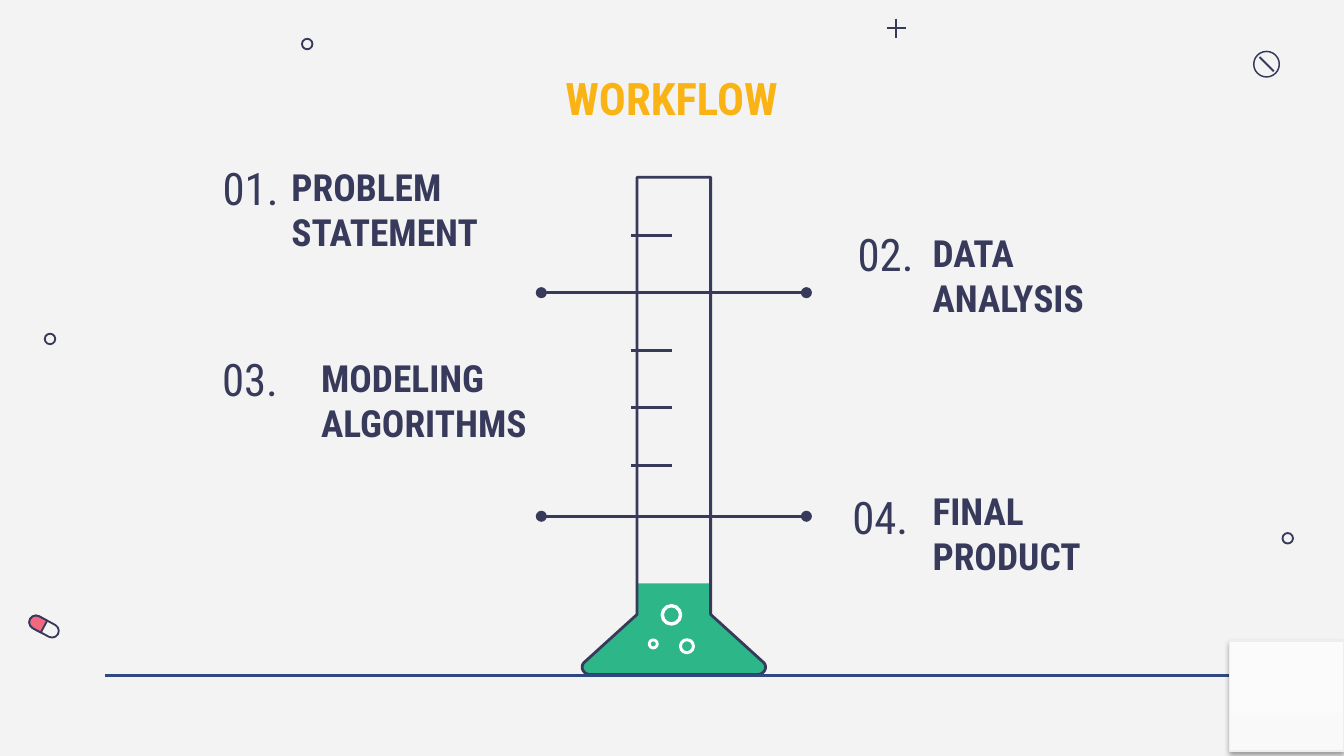
from copy import deepcopy
from lxml.etree import SubElement
from pptx import Presentation
from pptx.dml.color import RGBColor
from pptx.enum.shapes import MSO_CONNECTOR, MSO_SHAPE
from pptx.enum.text import MSO_ANCHOR, MSO_AUTO_SIZE, PP_ALIGN
from pptx.oxml.ns import qn
from pptx.util import Pt

NAVY = RGBColor(0x37, 0x3A, 0x5A)
BLUE = RGBColor(0x2F, 0x49, 0x7E)
GREEN = RGBColor(0x2D, 0xB7, 0x89)
YELLOW = RGBColor(0xF9, 0xB3, 0x14)
PINK = RGBColor(0xF1, 0x68, 0x80)
WHITE = RGBColor(0xFF, 0xFF, 0xFF)
PALE = RGBColor(0xF3, 0xF3, 0xF3)
EDGE = RGBColor(0xEE, 0xEE, 0xEE)
GRADIENT = [(0, RGBColor(0xF9, 0xF9, 0xF9)), (0.35, RGBColor(0xFB, 0xFB, 0xFB)),
            (1, RGBColor(0xFD, 0xFD, 0xFD))]
FONT = "Roboto Condensed"

presentation = Presentation()
presentation.slide_width, presentation.slide_height = Pt(720), Pt(405)
slide = presentation.slides.add_slide(presentation.slide_layouts[0])
slide.background.fill.solid()
slide.background.fill.fore_color.rgb = PALE
title, subtitle = slide.placeholders
subtitle.element.getparent().remove(subtitle.element)
shapes = slide.shapes


def paint(shape, fill=None, line=None, weight=1.5):
    shape.shadow.inherit = False
    if fill is None:
        shape.fill.background()
    else:
        shape.fill.solid()
        shape.fill.fore_color.rgb = fill
    if line is None:
        shape.line.fill.background()
    else:
        shape.line.color.rgb = line
        shape.line.width = Pt(weight)


def write(shape, text, size, color, bold, align, anchor):
    frame = shape.text_frame
    frame.word_wrap, frame.auto_size = True, MSO_AUTO_SIZE.NONE
    frame.vertical_anchor = anchor
    frame.margin_left = frame.margin_right = Pt(7.2)
    frame.margin_top = frame.margin_bottom = Pt(7.2)
    paragraph = frame.paragraphs[0]
    paragraph.alignment = align
    run = paragraph.add_run()
    run.text = text
    run.font.name, run.font.size, run.font.bold = FONT, Pt(size), bold
    run.font.color.rgb = color


# Title
title.left, title.top, title.width, title.height = Pt(108), Pt(29.5), Pt(503.5), Pt(45.4)
write(title, "WORKFLOW", 24, YELLOW, True, PP_ALIGN.CENTER, MSO_ANCHOR.MIDDLE)

# Pill: whole capsule, then its coloured half
for kind, x, y, width, height, angle, fill in [
        (MSO_SHAPE.ROUNDED_RECTANGLE, 23.6, 335.7, 17, 7.2, 28.4, None),
        (MSO_SHAPE.ROUND_2_SAME_RECTANGLE, 19.86, 333.68, 7.2, 8.5, -61.6, PINK)]:
    pill = shapes.add_shape(kind, Pt(x - width / 2), Pt(y - height / 2), Pt(width), Pt(height))
    pill.adjustments[0] = 0.5
    pill.rotation = angle
    paint(pill, fill, NAVY, 1)

# Flask: liquid first, then the glass; the right side mirrors the left
AXIS = 361
corner = [(313.2, 354.7), (310.3, 357.1), (312.5, 361.4), (316.1, 361.4)]
foot = []
for step in range(13):
    t = step / 12
    weights = [(1 - t) ** 3, 3 * t * (1 - t) ** 2, 3 * t * t * (1 - t), t ** 3]
    foot.append(tuple(sum(w * point[i] for w, point in zip(weights, corner)) for i in (0, 1)))
for top, fill, line in [(312.5, GREEN, None), (95, None, NAVY)]:
    left = [(341.3, top), (341.3, 329.2)] + foot
    outline = left + [(2 * AXIS - x, y) for x, y in reversed(left)]
    builder = shapes.build_freeform(Pt(outline[0][0]), Pt(outline[0][1]))
    builder.add_line_segments([(Pt(x), Pt(y)) for x, y in outline[1:]], close=True)
    paint(builder.convert_to_shape(), fill, line)

# Rings: background circles and bubbles (centre, diameter, colour, weight)
for x, y, size, color, weight in [
        (689.9, 288.4, 5.6, NAVY, 1), (164.6, 23.6, 5.6, NAVY, 1), (26.8, 181.6, 5.6, NAVY, 1),
        (678.5, 34.4, 13.7, NAVY, 0.8),
        (350, 345, 4.3, WHITE, 1.5), (359.7, 329.4, 9.8, WHITE, 1.8), (368, 346.2, 7, WHITE, 1.6)]:
    ring = shapes.add_shape(MSO_SHAPE.OVAL, Pt(x - size / 2), Pt(y - size / 2), Pt(size), Pt(size))
    paint(ring, None, color, weight)

# Lines: ground, small signs, graduations, pointers
lines = [(56.2, 362, 663.8, 362, BLUE, 1.5, False),
         (674.8, 30.6, 682.4, 38.2, NAVY, 1, False),
         (480.1, 10, 480.1, 20.3, NAVY, 1, False),
         (475, 15.1, 485.3, 15.1, NAVY, 1, False)]
lines += [(338, y, 360, y, NAVY, 1.5, False) for y in (126, 187.9, 218.5, 249.3)]
lines += [(290, y, 432, y, NAVY, 1.5, True) for y in (156.8, 276.6)]
for x1, y1, x2, y2, color, weight, dotted in lines:
    connector = shapes.add_connector(MSO_CONNECTOR.STRAIGHT, Pt(x1), Pt(y1), Pt(x2), Pt(y2))
    connector.line.color.rgb = color
    connector.line.width = Pt(weight)
    if dotted:
        for end in ("a:headEnd", "a:tailEnd"):
            SubElement(connector.line._get_or_add_ln(), qn(end), type="oval")
    SubElement(connector._element.spPr, qn("a:effectLst"))

# Steps: number box and label box (left, top, width, height)
for number, number_box, label, label_box in [
        ("01.", (83.5, 82.8, 101.5, 35.3), "PROBLEM STATEMENT", (149, 108, 188.6, 35.3)),
        ("02.", (443.5, 118.1, 61.9, 35.3), "DATA ANALYSIS", (492.5, 143.3, 118.8, 35.3)),
        ("03.", (103, 185, 61.9, 35.3), "MODELING ALGORITHMS", (164.9, 210.2, 188.6, 35.3)),
        ("04.", (432, 254.9, 79.2, 43.9), "FINAL PRODUCT", (492.5, 281.5, 97.2, 35.3))]:
    write(shapes.add_textbox(*map(Pt, number_box)), number, 24, NAVY, False,
          PP_ALIGN.CENTER, MSO_ANCHOR.MIDDLE)
    write(shapes.add_textbox(*map(Pt, label_box)), label, 20, NAVY, True,
          PP_ALIGN.LEFT, MSO_ANCHOR.BOTTOM)

# Corner panel with gradient and soft shadow
panel = shapes.add_shape(MSO_SHAPE.RECTANGLE, Pt(658.8), Pt(343.4), Pt(61.2), Pt(59))
paint(panel, WHITE, EDGE, 0.75)
panel.fill.gradient()
panel.fill.gradient_angle = 90
stop_list = panel._element.spPr.find(qn("a:gradFill")).find(qn("a:gsLst"))
stop_list.insert(1, deepcopy(stop_list[0]))
for stop, (position, color) in zip(panel.fill.gradient_stops, GRADIENT):
    stop.position = position
    stop.color.rgb = color
effects = panel._element.spPr.find(qn("a:effectLst"))
shadow = SubElement(effects, qn("a:outerShdw"), blurRad=str(Pt(3.1)), dist=str(Pt(1.6)),
                    dir="5400000", rotWithShape="0")
shadow_color = SubElement(shadow, qn("a:srgbClr"), val="000000")
SubElement(shadow_color, qn("a:alpha"), val="38000")

presentation.save("out.pptx")
